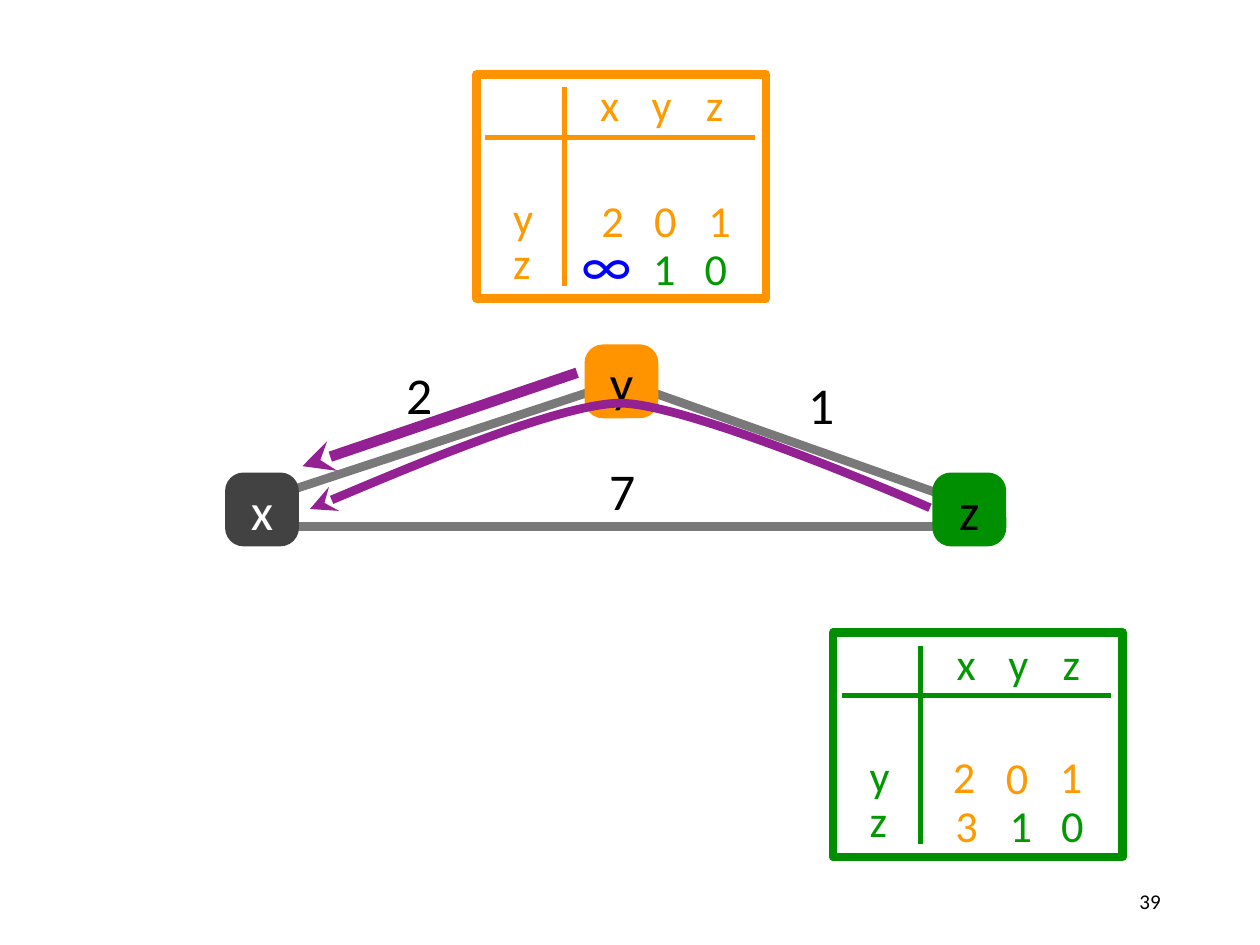
from lxml.etree import SubElement
from pptx import Presentation
from pptx.dml.color import RGBColor
from pptx.enum.shapes import MSO_CONNECTOR, MSO_SHAPE
from pptx.enum.text import MSO_ANCHOR, PP_ALIGN
from pptx.oxml.ns import qn
from pptx.util import Pt

COLORS = {name: RGBColor.from_string(value) for name, value in {
    "orange": "FF9300", "green": "008F00", "dark": "424242", "gray": "797979",
    "purple": "942193", "orange text": "FF9900", "green text": "009900",
    "blue": "0000FF", "white": "FFFFFF", "black": "000000",
}.items()}

deck = Presentation()
deck.slide_width, deck.slide_height = Pt(720), Pt(540)
page = deck.slides.add_slide(deck.slide_layouts[6])


def write(box, text, size, color, align=PP_ALIGN.LEFT, inset=3):
    frame = box.text_frame
    frame.text = text
    frame.word_wrap = True
    frame.vertical_anchor = MSO_ANCHOR.MIDDLE
    frame.margin_left = frame.margin_right = Pt(inset)
    frame.margin_top = frame.margin_bottom = Pt(min(inset, 3.6))
    para = frame.paragraphs[0]
    para.alignment = align
    span = para.runs[0]
    span.font.name, span.font.size = "Calibri", Pt(size)
    span.font.color.rgb = COLORS[color]


def add_line(start, end, color, width):
    line = page.shapes.add_connector(
        MSO_CONNECTOR.STRAIGHT, *[Pt(value) for value in (*start, *end)])
    line.line.color.rgb = COLORS[color]
    line.line.width = Pt(width)
    SubElement(line.element.spPr, qn("a:effectLst"))
    return line


# Network links, nodes and costs
for start, end in [((343, 222), (160.5, 282)), ((165.5, 301), (549, 301)),
                   ((366.5, 222), (549, 286.5))]:
    add_line(start, end, "gray", 5)

for name, left, top, fill, color in [("x", 128.6, 270, "dark", "white"),
                                     ("z", 532.8, 270, "green", "black"),
                                     ("y", 334, 196.8, "orange", "black")]:
    node = page.shapes.add_shape(MSO_SHAPE.ROUNDED_RECTANGLE,
                                 Pt(left), Pt(top), Pt(42.2), Pt(42.2))
    node.adjustments[0] = 0.25
    node.shadow.inherit = False
    node.fill.solid()
    node.fill.fore_color.rgb = COLORS[fill]
    node.line.fill.background()
    write(node, name, 29.5, color, PP_ALIGN.CENTER, inset=0)

for cost, left, top in [("7", 345, 259), ("2", 229, 203.8), ("1", 458.8, 209.5)]:
    box = page.shapes.add_textbox(Pt(left), Pt(top), Pt(21), Pt(42))
    write(box, cost, 29.5, "black")

# Distance tables: each entry is text, left, top, size, colour within its frame
orange, green = "orange text", "green text"
tables = [
    ("orange", 272.2, 42.5, [
        ("2", 68.4, 64.8, 25.3, orange), ("0", 98.6, 64.8, 25.3, orange),
        ("1", 129.6, 64.8, 25.3, orange), ("∞", 57, 89.2, 33.8, "blue"),
        ("1", 98, 92.2, 25.3, green), ("0", 127.4, 92.2, 25.3, green)]),
    ("green", 476, 361.5, [
        ("2", 65.5, 63.4, 25.3, orange), ("0", 95.8, 64.1, 25.3, orange),
        ("1", 126.7, 63.4, 25.3, orange), ("3", 67, 91.4, 25.3, orange),
        ("1", 98, 91.4, 25.3, green), ("0", 127.4, 91.4, 25.3, green)]),
]
labels = [("x", 67.7, -1.5), ("y", 97.2, -1.5), ("z", 128.2, -1.5),
          ("y", 18, 62.6), ("z", 18, 88.6)]

for color, left, top, entries in tables:
    frame = page.shapes.add_shape(MSO_SHAPE.RECTANGLE,
                                  Pt(left), Pt(top), Pt(165.6), Pt(128.2))
    frame.shadow.inherit = False
    frame.fill.solid()
    frame.fill.fore_color.rgb = COLORS["white"]
    frame.line.color.rgb = COLORS[color]
    frame.line.width = Pt(5)
    add_line((left + 5, top + 36), (left + 159, top + 36), color, 3)
    add_line((left + 50.2, top + 7.5), (left + 50.2, top + 121), color, 3)
    headings = [(*label, 25.3, color + " text") for label in labels]
    for text, x, y, size, text_color in headings + entries:
        box = page.shapes.add_textbox(Pt(left + x), Pt(top + y), Pt(36), Pt(37))
        write(box, text, size, text_color)

# Routes to x: straight from y, curved from z
direct_route = add_line((329.8, 213), (172.8, 266.4), "purple", 6)

curve = [(531.4, 290.2), (531.4, 290.2), (394.6, 230.4), (354.2, 230.4),
         (316.8, 231), (177.1, 290.9), (177.1, 290.9)]
builder = page.shapes.build_freeform(Pt(curve[0][0]), Pt(curve[0][1]))
builder.add_line_segments([(Pt(x), Pt(y)) for x, y in curve[1:]], close=False)
curved_route = builder.convert_to_shape()
curved_route.shadow.inherit = False
curved_route.fill.background()
curved_route.line.color.rgb = COLORS["purple"]
curved_route.line.width = Pt(5)

# Each three straight segments hold the control points of one Bezier segment
outline = curved_route.element.spPr.find(".//" + qn("a:path"))
segments = outline.findall(qn("a:lnTo"))
for first in range(0, len(segments), 3):
    bezier = SubElement(outline, qn("a:cubicBezTo"))
    for segment in segments[first:first + 3]:
        bezier.append(segment[0])
        outline.remove(segment)

for route in (direct_route, curved_route):
    SubElement(route.line._get_or_add_ln(), qn("a:tailEnd"), type="stealth")

number = page.shapes.add_textbox(Pt(508.3), Pt(500.4), Pt(162), Pt(28.8))
write(number, "39", 12, "black", PP_ALIGN.RIGHT, inset=7.2)

deck.save("out.pptx")
